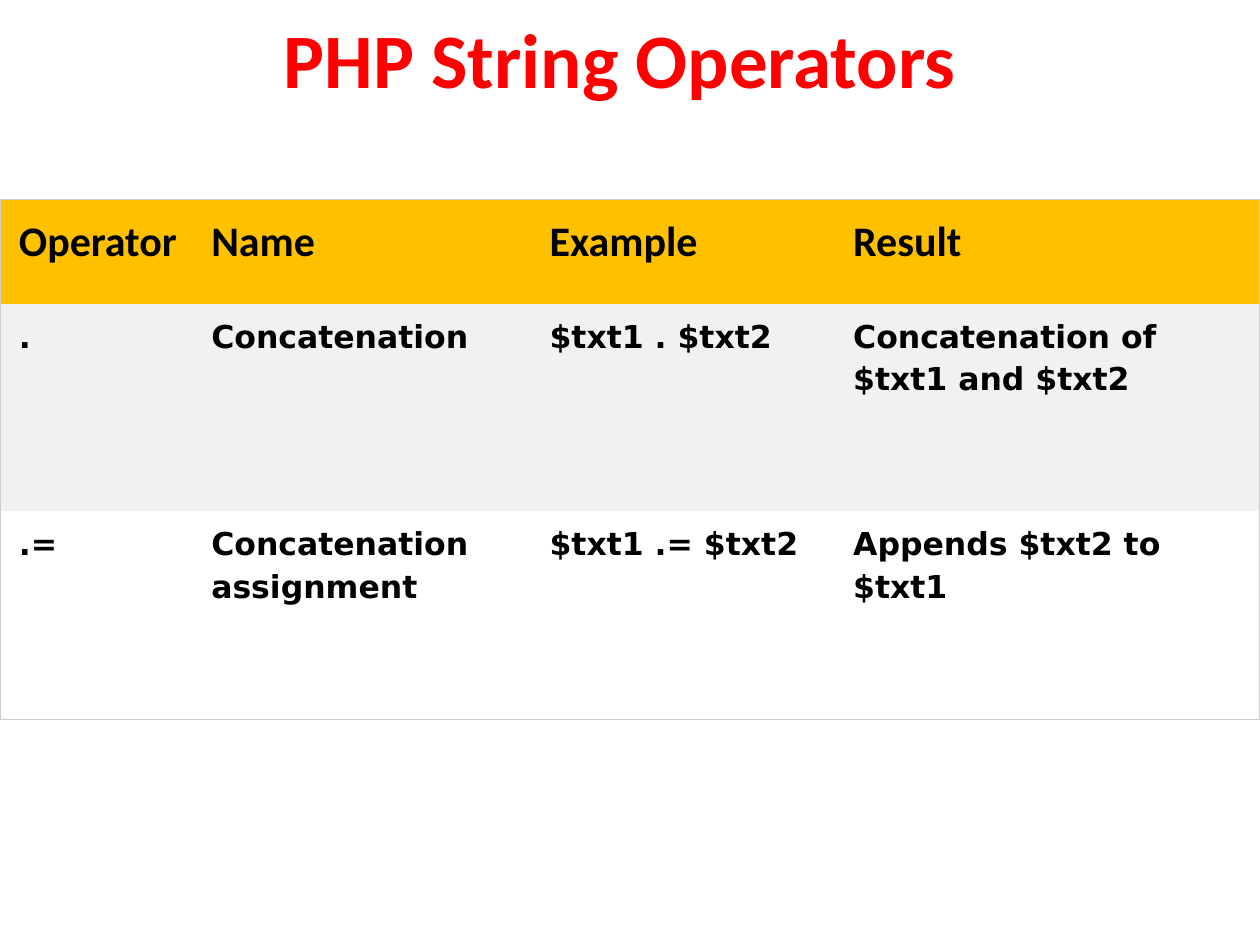
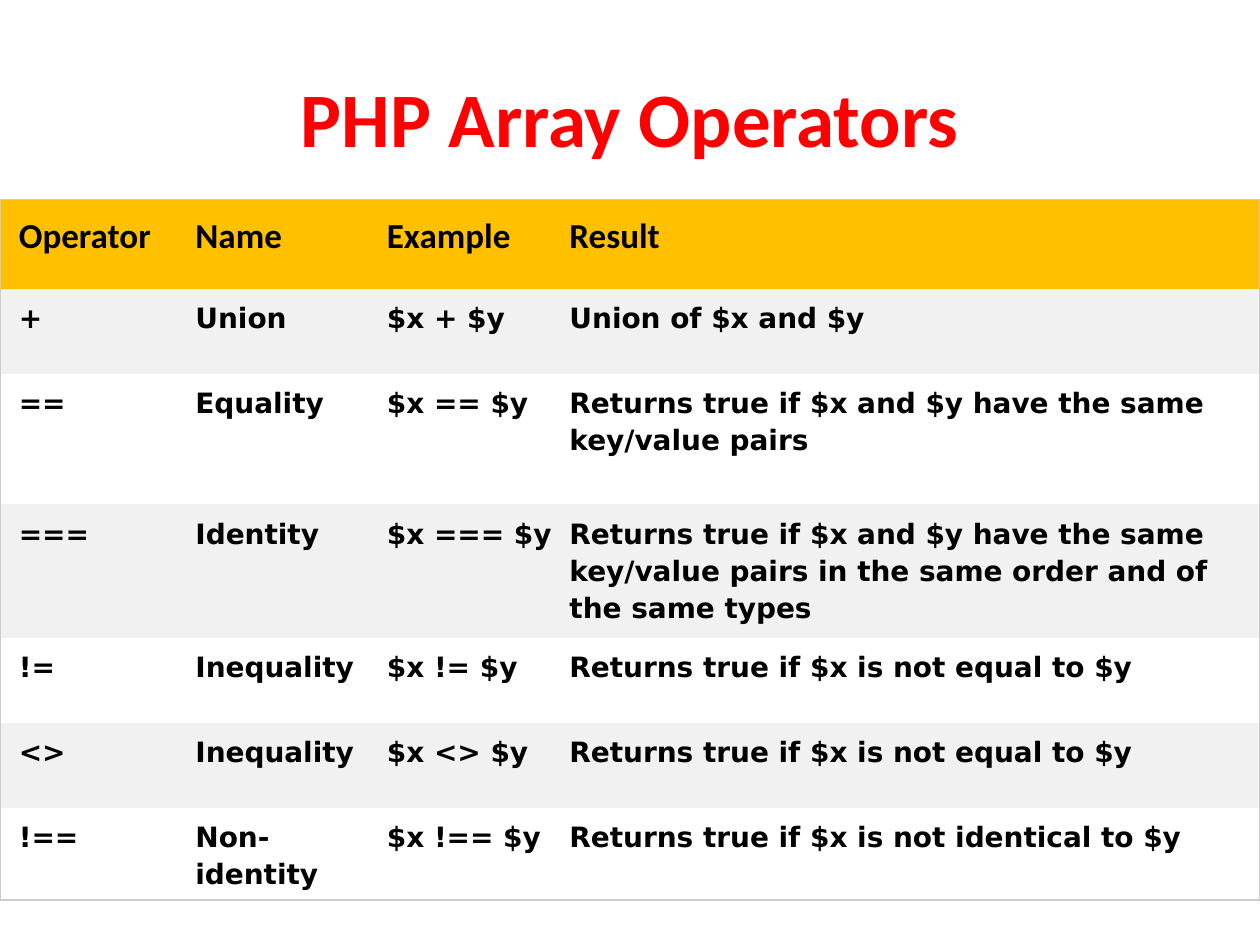
"""Build two slides that tabulate the PHP string and array operators."""
from dataclasses import dataclass

from lxml import etree
from pptx import Presentation
from pptx import util as u
from pptx.dml.color import RGBColor
from pptx.enum import text
from pptx.oxml import ns

RED = RGBColor(0xFF, 0x00, 0x00)
BLACK = RGBColor(0x00, 0x00, 0x00)
GOLD = RGBColor(0xFF, 0xC0, 0x00)
GREY = RGBColor(0xF1, 0xF1, 0xF1)
WHITE = RGBColor(0xFF, 0xFF, 0xFF)
EDGE = RGBColor(0xCC, 0xCC, 0xCC)
HEAD_FONT = "Calibri"
BODY_FONT = "DejaVu Sans"
PLAIN = "{2D5ABB26-0587-4C30-8999-92F81FD0307C}"
WIDTH, HEIGHT = u.Cm(25.4), u.Cm(19.05)
TOP = u.Cm(4.02)
HEAD = ("Operator", "Name", "Example", "Result")


@dataclass(frozen=True)
class Page:
    title: str
    box: tuple[float, float, float, float]
    cols: tuple[float, ...]
    rows: tuple[float, ...]
    inset: float
    head_size: int
    body_size: int
    body: tuple[tuple[str, ...], ...]


PAGES = (
    Page(
        "PHP String Operators", (1.07, 0, 22.86, 2.34),
        (4.06, 6.99, 6.12, 8.23), (2.1, 4.19, 4.19), 0.2, 24, 18,
        (
            (".", "Concatenation", "$txt1 . $txt2",
             "Concatenation of $txt1 and $txt2"),
            (".=", "Concatenation assignment", "$txt1 .= $txt2",
             "Appends $txt2 to $txt1"),
        ),
    ),
    Page(
        "PHP Array Operators", (1.27, 0.76, 22.86, 3.18),
        (3.76, 4.01, 3.68, 13.95),
        (1.81, 1.71, 2.63, 2.69, 1.71, 1.71, 1.71), 0.18, 20, 16,
        (
            ("+", "Union", "$x + $y", "Union of $x and $y"),
            ("==", "Equality", "$x == $y",
             "Returns true if $x and $y have the same key/value pairs"),
            ("===", "Identity", "$x === $y",
             "Returns true if $x and $y have the same key/value pairs "
             "in the same order and of the same types"),
            ("!=", "Inequality", "$x != $y",
             "Returns true if $x is not equal to $y"),
            ("<>", "Inequality", "$x <> $y",
             "Returns true if $x is not equal to $y"),
            ("!==", "Non-identity", "$x !== $y",
             "Returns true if $x is not identical to $y"),
        ),
    ),
)


def style(par, name: str, size: int, color: RGBColor) -> None:
    """Set a paragraph in bold type."""
    font = par.font
    font.name, font.size, font.bold = name, u.Pt(size), True
    font.color.rgb = color


def add_title(slide, page: Page) -> None:
    """Place and format the title."""
    title = slide.shapes.title
    title.left, title.top, title.width, title.height = map(u.Cm, page.box)
    frame = title.text_frame
    frame.text = page.title
    frame.vertical_anchor = text.MSO_ANCHOR.MIDDLE
    par = frame.paragraphs[0]
    par.alignment = text.PP_ALIGN.CENTER
    style(par, HEAD_FONT, 44, RED)


def add_edge(props, side: str) -> None:
    """Draw a thin line on one side of a cell."""
    line = etree.SubElement(props, ns.qn(f"a:ln{side}"), w=str(u.Pt(1)))
    fill = etree.SubElement(line, ns.qn("a:solidFill"))
    etree.SubElement(fill, ns.qn("a:srgbClr"), val=str(EDGE))


def fill_cell(cell, words: str, row: int, col: int, page: Page) -> None:
    """Write and format one cell."""
    pad = u.Cm(page.inset)
    cell.margin_left = (u.Cm(0.38), pad, u.Cm(0.03), u.Cm(0.03))[col]
    cell.margin_right = cell.margin_top = cell.margin_bottom = pad
    cell.fill.solid()
    cell.fill.fore_color.rgb = GOLD if row == 0 else (WHITE, GREY)[row % 2]
    cell.text = words
    par = cell.text_frame.paragraphs[0]
    par.line_spacing = 1.15
    if row == 0:
        style(par, HEAD_FONT, page.head_size, BLACK)
    else:
        style(par, BODY_FONT, page.body_size, BLACK)


def add_grid(slide, page: Page) -> None:
    """Add the operator table with its outer frame."""
    data = (HEAD, *page.body)
    last_row, last_col = len(data) - 1, len(HEAD) - 1
    frame = slide.shapes.add_table(
        len(data), len(HEAD), 0, TOP, WIDTH, u.Cm(sum(page.rows)))
    table = frame.table
    table.first_row = table.horz_banding = False
    next(frame.element.iter(ns.qn("a:tableStyleId"))).text = PLAIN
    for col, width in zip(table.columns, page.cols):
        col.width = u.Cm(width)
    for row, height in zip(table.rows, page.rows):
        row.height = u.Cm(height)
    for place, node in enumerate(frame.element.iter(ns.qn("a:tc"))):
        row, col = divmod(place, len(HEAD))
        sides = {"L": col == 0, "R": col == last_col,
                 "T": row == 0, "B": row == last_row}
        props = node.get_or_add_tcPr()
        for side, outer in sides.items():
            if outer:
                add_edge(props, side)
        fill_cell(table.cell(row, col), data[row][col], row, col, page)


def main() -> None:
    """Build and save the deck."""
    deck = Presentation()
    deck.slide_width, deck.slide_height = WIDTH, HEIGHT
    for page in PAGES:
        slide = deck.slides.add_slide(deck.slide_layouts[5])
        add_title(slide, page)
        add_grid(slide, page)
    deck.save("out.pptx")


if __name__ == "__main__":
    main()
